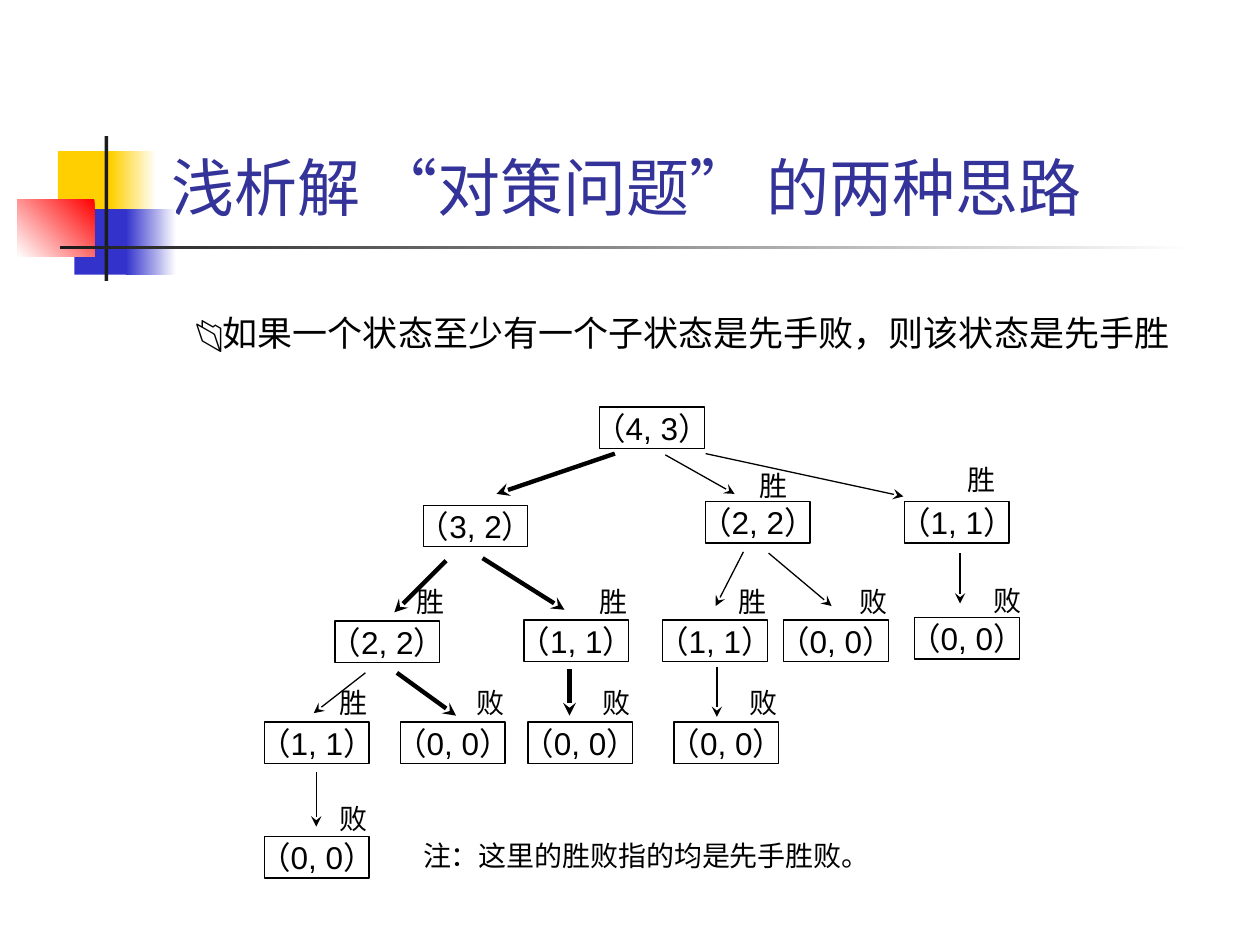
from dataclasses import dataclass

from lxml import etree
from pptx import Presentation
from pptx.dml.color import RGBColor
from pptx.enum import shapes, text
from pptx.oxml import ns
from pptx.util import Inches, Pt


@dataclass(frozen=True)
class Theme:
    ink: str = "000000"
    title: str = "333399"
    yellow: str = "FFCF01"
    blue: str = "3333CC"
    red: str = "FF0000"
    bar: str = "1C1C1C"
    white: str = "FFFFFF"
    title_size: float = 36
    lead_size: float = 20
    state_size: float = 18
    label_size: float = 16
    thin: float = 0.75
    thick: float = 2.5


THEME = Theme()
BOX_W, BOX_H = 0.83, 0.33
LABEL_W, LABEL_H = 0.33, 0.37
LABEL_OFFSET = (0.5, -0.33)  # from the corner of the state's box

# State, left, top, outcome, and the outcome's offset where it is special
STATES = [
    ("4, 3", 4.76, 3.23, None),
    ("3, 2", 3.36, 4.01, None),
    ("2, 2", 5.60, 3.98, "胜", (0.33, -0.31)),
    ("1, 1", 7.18, 3.98, "胜", (0.4, -0.36)),
    ("2, 2", 2.66, 4.93, "胜", (0.55, -0.34)),
    ("1, 1", 4.16, 4.92, "胜"),
    ("1, 1", 5.26, 4.92, "胜"),
    ("0, 0", 6.22, 4.92, "败"),
    ("0, 0", 7.26, 4.90, "败", (0.53, -0.32)),
    ("1, 1", 2.10, 5.73, "胜", (0.5, -0.34)),
    ("0, 0", 3.18, 5.73, "败", (0.5, -0.34)),
    ("0, 0", 4.19, 5.73, "败", (0.49, -0.34)),
    ("0, 0", 5.35, 5.73, "败", (0.5, -0.34)),
    ("0, 0", 2.10, 6.64, "败"),
]

# Start and end of each move; the thick ones are the highlighted moves
THICK_MOVES = [
    (4.88, 3.60, 3.94, 3.92),
    (3.54, 4.45, 3.13, 4.86),
    (3.83, 4.43, 4.48, 4.84),
    (3.15, 5.34, 3.62, 5.68),
    (4.52, 5.31, 4.52, 5.68),
]
THIN_MOVES = [
    (5.28, 3.61, 5.83, 3.92),
    (5.60, 3.60, 7.17, 3.94),
    (2.90, 5.34, 2.49, 5.66),
    (2.51, 6.13, 2.51, 6.56),
    (5.90, 4.38, 5.68, 4.81),
    (6.10, 4.39, 6.60, 4.81),
    (5.69, 5.29, 5.69, 5.69),
    (7.62, 4.39, 7.62, 4.79),
]


def write(shape, words, size, font, color=THEME.ink, align=text.PP_ALIGN.LEFT,
          anchor=text.MSO_ANCHOR.TOP, wrap=True, inset=(0.1, 0.05)):
    frame = shape.text_frame
    frame.word_wrap = wrap
    frame.vertical_anchor = anchor
    frame.margin_left = frame.margin_right = Inches(inset[0])
    frame.margin_top = frame.margin_bottom = Inches(inset[1])
    paragraph = frame.paragraphs[0]
    paragraph.alignment = align
    run = paragraph.add_run()
    run.text = words
    run.font.size = Pt(size)
    run.font.name = font
    run.font.color.rgb = RGBColor.from_string(color)


def add_rect(slide, left, top, width, height):
    rect = slide.shapes.add_shape(
        shapes.MSO_SHAPE.RECTANGLE,
        Inches(left), Inches(top), Inches(width), Inches(height))
    rect.shadow.inherit = False
    return rect


def add_block(slide, place, *colors, angle=180):
    """Borderless block: one colour is solid, two make a gradient."""
    block = add_rect(slide, *place)
    block.line.fill.background()
    if len(colors) == 1:
        block.fill.solid()
        block.fill.fore_color.rgb = RGBColor.from_string(colors[0])
        return
    block.fill.gradient()
    block.fill.gradient_angle = angle
    for stop, color in zip(block.fill.gradient_stops, colors):
        stop.color.rgb = RGBColor.from_string(color)


def add_text(slide, place, words, size, font, **style):
    box = slide.shapes.add_textbox(*map(Inches, place))
    write(box, words, size, font, **style)


def add_state(slide, state, left, top, outcome, offset=LABEL_OFFSET):
    box = add_rect(slide, left, top, BOX_W, BOX_H)
    box.fill.background()
    box.line.color.rgb = RGBColor.from_string(THEME.ink)
    box.line.width = Pt(THEME.thin)
    write(box, f"（{state}）", THEME.state_size, "Arial",
          align=text.PP_ALIGN.CENTER, anchor=text.MSO_ANCHOR.MIDDLE,
          wrap=False, inset=(0.08, 0.04))
    if outcome:
        add_text(slide, (left + offset[0], top + offset[1], LABEL_W, LABEL_H),
                 outcome, THEME.label_size, "Times New Roman")


def add_move(slide, ends, width):
    move = slide.shapes.add_connector(
        shapes.MSO_CONNECTOR.STRAIGHT, *map(Inches, ends))
    move.line.color.rgb = RGBColor.from_string(THEME.ink)
    move.line.width = Pt(width)
    line = move.line._get_or_add_ln()
    etree.SubElement(line, ns.qn("a:tailEnd"), type="stealth")
    etree.SubElement(move._element.spPr, ns.qn("a:effectLst"))


def add_ornament(slide):
    add_block(slide, (0.46, 1.2, 0.48, 0.52), THEME.yellow)
    add_block(slide, (0.88, 1.2, 0.36, 0.52), THEME.white, THEME.yellow)
    add_block(slide, (0.59, 1.66, 0.46, 0.52), THEME.blue)
    add_block(slide, (1, 1.66, 0.4, 0.52), THEME.white, THEME.blue)
    add_block(slide, (0.14, 1.58, 0.61, 0.46), THEME.red, THEME.white, angle=225)
    add_block(slide, (0.83, 1.08, 0.03, 1.15), THEME.bar)
    add_block(slide, (0.48, 1.95, 9, 0.03), THEME.white, THEME.bar)


def add_title(slide, words):
    title = slide.shapes.title
    title.left, title.top = Inches(1.26), Inches(0.23)
    title.width, title.height = Inches(8.52), Inches(1.6)
    write(title, words, THEME.title_size, "Karla", color=THEME.title,
          anchor=text.MSO_ANCHOR.BOTTOM)


def main():
    deck = Presentation()
    deck.slide_width, deck.slide_height = Inches(10), Inches(7.5)
    slide = deck.slides.add_slide(deck.slide_layouts[5])

    # Heading
    add_ornament(slide)
    add_title(slide, "浅析解 “对策问题” 的两种思路")

    # Game tree
    for width, moves in ((THEME.thick, THICK_MOVES), (THEME.thin, THIN_MOVES)):
        for ends in moves:
            add_move(slide, ends, width)
    for state in STATES:
        add_state(slide, *state)

    # Note and rule
    add_text(slide, (3.26, 6.61, 3.67, 0.37), "注：这里的胜败指的均是先手胜败。",
             THEME.label_size, "Times New Roman")
    add_text(slide, (1.33, 2.42, 8.17, 0.44),
             "📂如果一个状态至少有一个子状态是先手败，则该状态是先手胜",
             THEME.lead_size, "Arial", align=text.PP_ALIGN.CENTER)

    deck.save("out.pptx")


if __name__ == "__main__":
    main()
